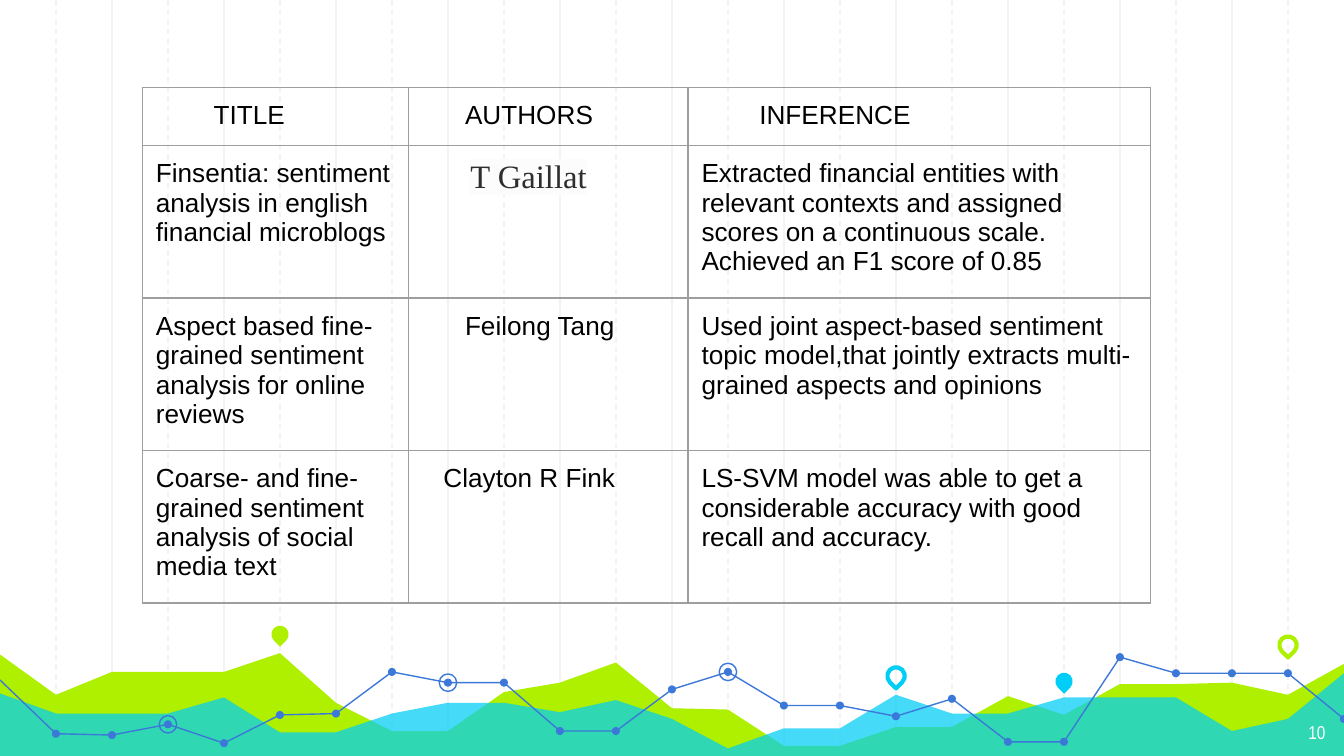
import pptx
import pptx.dml.color
import pptx.enum.dml
import pptx.enum.shapes
import pptx.enum.text
import pptx.oxml.ns
import pptx.util
from lxml import etree

Inches, Pt = pptx.util.Inches, pptx.util.Pt
RGBColor = pptx.dml.color.RGBColor
SHAPE = pptx.enum.shapes.MSO_SHAPE
qn = pptx.oxml.ns.qn

WHITE = RGBColor(0xFF, 0xFF, 0xFF)
BLACK = RGBColor(0, 0, 0)
INK = RGBColor(0x2E, 0x2E, 0x2E)
INK_HIGHLIGHT = RGBColor(0xFC, 0xFC, 0xFC)
GRID = RGBColor(0xF3, 0xF3, 0xF3)
BORDER = RGBColor(0x9E, 0x9E, 0x9E)
LIME = RGBColor(0xAF, 0xF0, 0x00)
CYAN = RGBColor(0x00, 0xCE, 0xF6)
BLUE = RGBColor(0x3C, 0x78, 0xD8)

WIDTH = 10
HEIGHT = WIDTH * 9 / 16
STEPS = 24  # gridlines and data points share this horizontal division

# Depths below the top of the landscape band, one for each step
LIME_HILLS = [.27, .57, .40, .40, .40, .26, .63, .84, .84, .55, .48, .33, .67,
              .68, .95, .95, .81, .81, .58, .72, .49, .49, .48, .57, .34]
CYAN_HILLS = [.56, .71, .71, .71, .59, .85, .85, .71, .63, .63, .70, .61, .75,
              .97, .82, .82, .57, .71, .71, .59, .59, .59, .84, .75, .41]
TREND = [.46, .86, .87, .79, .93, .72, .71, .40, .48, .48, .84, .84, .53,
         .40, .65, .65, .73, .60, .92, .92, .29, .41, .41, .41, .75]
TREND_BREAKS = [0, 11, 20, STEPS]
RINGED_STEPS = [3, 8, 13]
PINS = [(5, .12, LIME, True), (16, .43, CYAN, False),
        (19, .47, CYAN, True), (23, .20, LIME, False)]  # step, depth, colour, solid

COLUMN_WIDTHS = [1.98, 2.08, 3.44]
ROW_HEIGHTS = [0.33, 0.87, 0.87, 0.87]  # least heights, rows grow with their text
# Each cell: paragraphs and their left indent
PAPERS = [
    [(["TITLE"], .43), (["AUTHORS"], .32), (["INFERENCE"], .43)],
    [(["Finsentia: sentiment analysis in english financial microblogs"], 0),
     (["T Gaillat"], .36),
     (["Extracted financial entities with relevant contexts and assigned",
       "scores on a continuous scale.", "Achieved an F1 score of 0.85"], 0)],
    [(["Aspect based fine-grained sentiment analysis for online reviews"], 0),
     (["Feilong Tang"], .32),
     (["Used joint aspect-based sentiment topic model,that jointly extracts "
       "multi-grained aspects and opinions"], 0)],
    [(["Coarse- and fine-",
       "grained sentiment analysis of social media text"], 0),
     (["Clayton R Fink"], .16),
     (["LS-SVM model was able to get a considerable accuracy with good "
       "recall and accuracy."], 0)],
]
SERIF_CELL = (1, 1)


def paint(shape, fill=None, line=None, weight=0.75):
    shape.shadow.inherit = False
    if fill is None:
        shape.fill.background()
    else:
        shape.fill.solid()
        shape.fill.fore_color.rgb = fill
    if line is None:
        shape.line.fill.background()
    else:
        shape.line.color.rgb = line
        shape.line.width = Pt(weight)


def add_run(paragraph, text, font, size, color):
    run = paragraph.add_run()
    run.text = text
    run.font.name, run.font.size = font, Pt(size)
    run.font.color.rgb = color
    return run


def add_outline(slide, points, close):
    corners = [(Inches(x), Inches(y)) for x, y in points]
    builder = slide.shapes.build_freeform(*corners[0], scale=1.0)
    builder.add_line_segments(corners[1:], close=close)
    return builder.convert_to_shape()


def add_centred(slide, kind, center, size):
    x, y = center
    return slide.shapes.add_shape(kind, Inches(x - size / 2), Inches(y - size / 2),
                                  Inches(size), Inches(size))


def add_gridlines(slide, left, top, width, height):
    for step in range(1, STEPS):
        x = Inches(left + step * width / STEPS)
        gridline = slide.shapes.add_connector(
            pptx.enum.shapes.MSO_CONNECTOR.STRAIGHT, x, Inches(top), x, Inches(top + height))
        gridline.line.color.rgb = GRID
        gridline.line.width = Pt(0.75)
        if step % 2:
            gridline.line.dash_style = pptx.enum.dml.MSO_LINE.DASH
        etree.SubElement(gridline._element.spPr, qn("a:effectLst"))


def add_landscape(slide, left, top, width, height):
    def place(step, depth):
        return left + step * width / STEPS, top + depth

    # Hills
    base = [place(STEPS, height), place(0, height)]
    for depths, color in ((LIME_HILLS, LIME), (CYAN_HILLS, CYAN)):
        ridge = [place(step, depth) for step, depth in enumerate(depths)]
        hills = add_outline(slide, ridge + base, True)
        paint(hills, fill=color)
    tint = hills.fill._xPr.find(qn("a:solidFill"))[0]
    etree.SubElement(tint, qn("a:alpha"), val="73000")

    # Pins
    for step, depth, color, solid in PINS:
        pin = add_centred(slide, SHAPE.TEAR, place(step, depth), 0.13)
        pin.rotation = 135
        if solid:
            paint(pin, fill=color)
        else:
            paint(pin, line=color, weight=2.25)

    # Trend line with its dots and rings
    trend = [place(step, depth) for step, depth in enumerate(TREND)]
    for first, last in zip(TREND_BREAKS, TREND_BREAKS[1:]):
        paint(add_outline(slide, trend[first:last + 1], False), line=BLUE)
    for center in trend[1:]:
        paint(add_centred(slide, SHAPE.OVAL, center, 0.06), fill=BLUE)
    for step in RINGED_STEPS:
        paint(add_centred(slide, SHAPE.OVAL, trend[step], 0.13), line=BLUE)


def add_page_number(slide, left, top, width, height):
    box = slide.shapes.add_textbox(Inches(left), Inches(top), Inches(width), Inches(height))
    frame = box.text_frame
    frame.word_wrap = True
    frame.margin_left = frame.margin_right = Inches(0.1)
    frame.margin_top = frame.margin_bottom = Inches(0.1)
    number = frame.paragraphs[0]
    number.alignment = pptx.enum.text.PP_ALIGN.RIGHT
    add_run(number, "10", "Arial Narrow", 10, WHITE)


def format_cell(cell):
    cell.margin_left = cell.margin_right = Inches(0.1)
    cell.margin_top = cell.margin_bottom = Inches(0.1)
    properties = cell._tc.get_or_add_tcPr()
    for side in ("lnL", "lnR", "lnT", "lnB"):
        border = etree.SubElement(properties, qn(f"a:{side}"), w=str(Pt(0.75)))
        stroke = etree.SubElement(border, qn("a:solidFill"))
        etree.SubElement(stroke, qn("a:srgbClr"), val=str(BORDER))
    cell.fill.background()


def add_papers_table(slide, left, top):
    table = slide.shapes.add_table(
        len(ROW_HEIGHTS), len(COLUMN_WIDTHS), Inches(left), Inches(top),
        Inches(sum(COLUMN_WIDTHS)), Inches(sum(ROW_HEIGHTS))).table
    table.first_row = table.horz_banding = False
    for column, width in zip(table.columns, COLUMN_WIDTHS):
        column.width = Inches(width)
    for row, height in zip(table.rows, ROW_HEIGHTS):
        row.height = Inches(height)

    for r, paper in enumerate(PAPERS):
        for c, (lines, indent) in enumerate(paper):
            cell = table.cell(r, c)
            format_cell(cell)
            for i, line in enumerate(lines):
                frame = cell.text_frame
                paragraph = frame.add_paragraph() if i else frame.paragraphs[0]
                paragraph._p.get_or_add_pPr().set("marL", str(Inches(indent)))
                if (r, c) == SERIF_CELL:
                    author = add_run(paragraph, line, "Times New Roman", 17.5, INK)
                    highlight = etree.Element(qn("a:highlight"))
                    etree.SubElement(highlight, qn("a:srgbClr"), val=str(INK_HIGHLIGHT))
                    author.font._element.find(qn("a:solidFill")).addnext(highlight)
                else:
                    add_run(paragraph, line, "Arial", 14, BLACK)


def main():
    deck = pptx.Presentation()
    deck.slide_width, deck.slide_height = Inches(WIDTH), Inches(HEIGHT)
    slide = deck.slides.add_slide(deck.slide_layouts[6])
    slide.background.fill.solid()
    slide.background.fill.fore_color.rgb = WHITE

    add_gridlines(slide, 0, 0, WIDTH, HEIGHT)
    add_landscape(slide, 0, 4.6, WIDTH, HEIGHT - 4.6)
    add_page_number(slide, 9.36, 5.28, 0.6, 0.35)
    add_papers_table(slide, 1.06, 0.65)
    deck.save("out.pptx")


if __name__ == "__main__":
    main()
